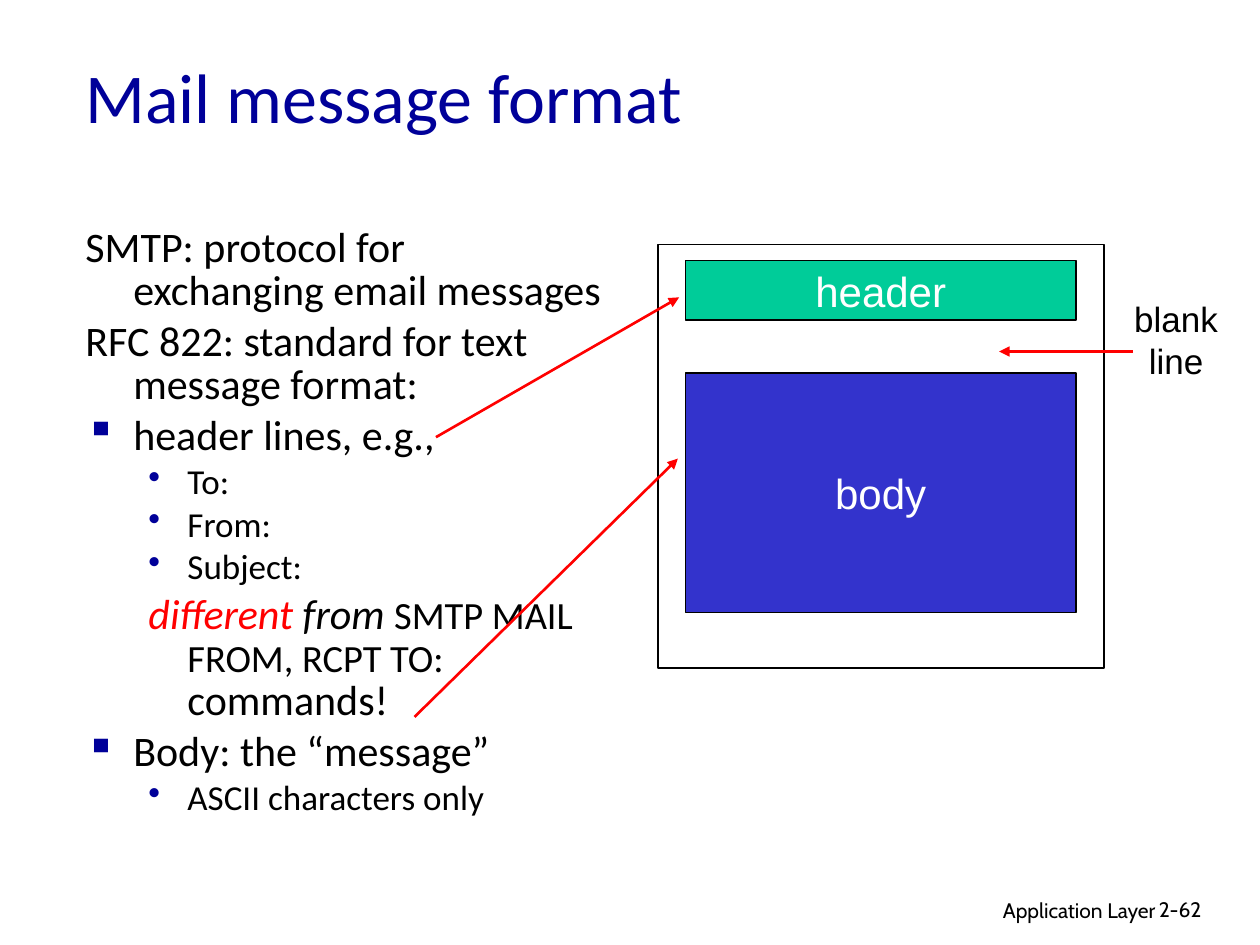
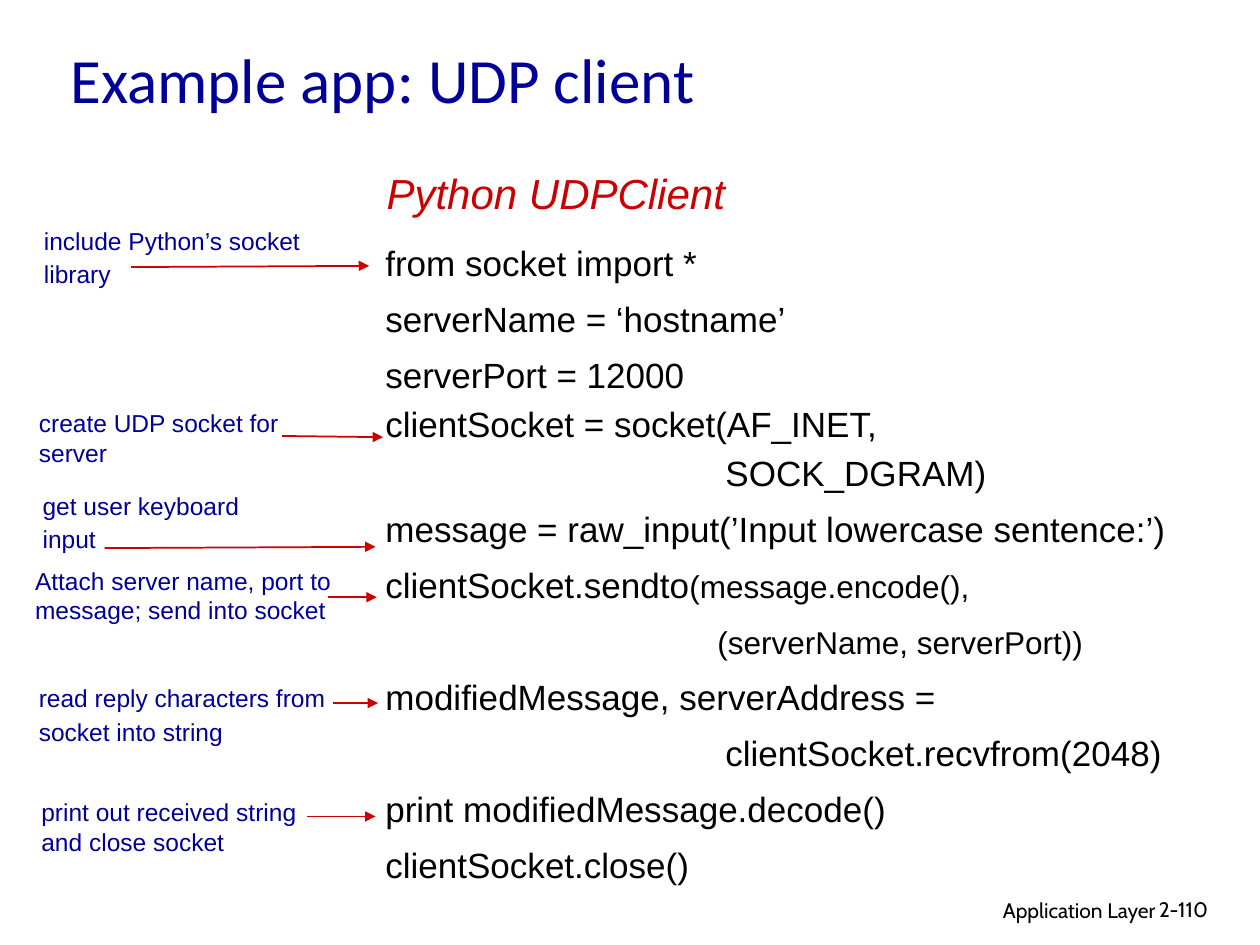
import lxml.etree
import pptx
import pptx.dml.color
import pptx.enum.shapes
import pptx.enum.text
import pptx.oxml.ns
import pptx.util

COLORS = {"navy": "000099", "black": "000000", "white": "FFFFFF", "red": "FF0000",
          "crimson": "CC0000", "green": "00CC99", "blue": "3333CC"}
COLUMNS, ROWS = 100, 75
WIDTH, HEIGHT = pptx.util.Inches(10), pptx.util.Inches(7.5)
SANS, TITLE_FONT, FOOTER_FONT = "Arial", "Calibri", "Cabin"
ALIGN = pptx.enum.text.PP_ALIGN
ANCHOR = pptx.enum.text.MSO_ANCHOR
qn = pptx.oxml.ns.qn


def rgb(name):
    """Return the named colour."""
    return pptx.dml.color.RGBColor.from_string(COLORS[name])


def cells(x, y):
    """Turn grid columns and rows into slide lengths."""
    return round(x * WIDTH / COLUMNS), round(y * HEIGHT / ROWS)


def inside(box, x, y, w, h):
    """Return a box offset from the top left corner of another."""
    return box[0] + x, box[1] + y, w, h


def add_bullet(p, mark, left, hang):
    """Indent a paragraph and give it a bullet if there is a mark."""
    pPr = p._p.get_or_add_pPr()
    pPr.set("marL", str(pptx.util.Inches(left)))
    pPr.set("indent", str(-pptx.util.Inches(hang)))
    if mark:
        clr = lxml.etree.SubElement(pPr, qn("a:buClr"))
        lxml.etree.SubElement(clr, qn("a:srgbClr"), val=COLORS["navy"])
        lxml.etree.SubElement(pPr, qn("a:buChar"), char=mark)
    else:
        lxml.etree.SubElement(pPr, qn("a:buNone"))


def write(tf, text, size=20, color="black", font=SANS, italic=False, align=ALIGN.LEFT,
          spacing=None, gap=0.2, level=0, mark=None, indent=None):
    """Add a paragraph, given as a string or as runs with their own formats."""
    first = not tf.text
    p = tf.paragraphs[0] if first else tf.add_paragraph()
    if indent:
        add_bullet(p, mark, *indent)
    p.level, p.alignment = level, align
    p.space_before = pptx.util.Pt(0 if first else round(size * gap, 1))
    if spacing:
        p.line_spacing = spacing
    for part, own in [(text, {})] if isinstance(text, str) else text:
        r = p.add_run()
        r.text = part
        r.font.name = font
        r.font.size = pptx.util.Pt(own.get("size", size))
        r.font.italic = own.get("italic", italic)
        r.font.color.rgb = rgb(own.get("color", color))


def add_text(s, box, paragraphs, wrap=True, anchor=ANCHOR.TOP, **fmt):
    """Add a text box whose paragraphs share a format."""
    x, y, w, h = box
    tf = s.shapes.add_textbox(*cells(x, y), *cells(w, h)).text_frame
    tf.word_wrap, tf.vertical_anchor = wrap, anchor
    if not wrap:
        tf.auto_size = pptx.enum.text.MSO_AUTO_SIZE.SHAPE_TO_FIT_TEXT
    for text in paragraphs:
        write(tf, text, **fmt)
    return tf


def add_rect(s, box, fill=None, weight=0.75, label=None):
    """Add an outlined rectangle with an optional fill and label."""
    x, y, w, h = box
    sp = s.shapes.add_shape(pptx.enum.shapes.MSO_SHAPE.RECTANGLE, *cells(x, y), *cells(w, h))
    sp.shadow.inherit = False
    sp.line.color.rgb, sp.line.width = rgb("black"), pptx.util.Pt(weight)
    if fill:
        sp.fill.solid()
        sp.fill.fore_color.rgb = rgb(fill)
    else:
        sp.fill.background()
    if label:
        sp.text_frame.vertical_anchor = ANCHOR.MIDDLE
        write(sp.text_frame, label, size=24, color="white", align=ALIGN.CENTER)


def add_arrow(s, start, end, color, weight):
    """Add a straight arrow between two grid points."""
    line = s.shapes.add_connector(pptx.enum.shapes.MSO_CONNECTOR.STRAIGHT,
                                  *cells(*start), *cells(*end))
    line.line.color.rgb, line.line.width = rgb(color), pptx.util.Pt(weight)
    lxml.etree.SubElement(line.line._get_or_add_ln(), qn("a:tailEnd"), type="triangle")
    lxml.etree.SubElement(line._element.spPr, qn("a:effectLst"))


def add_slide(prs, title, box, size, number):
    """Add a blank slide with its title and footer."""
    s = prs.slides.add_slide(prs.slide_layouts[6])
    footer = dict(size=12, font=FOOTER_FONT)
    add_text(s, (61, 70.7, 31.7, 3.1), ["Application Layer"], align=ALIGN.RIGHT, **footer)
    add_text(s, (91, 70.7, 7.4, 3), [number], **footer)
    add_text(s, box, [title], anchor=ANCHOR.MIDDLE, size=size, color="navy", font=TITLE_FONT)
    return s


def add_outline(s, box):
    """Add the bulleted notes on the message format."""
    plain = dict(size=24, indent=(0.38, 0.38))
    point = dict(plain, mark="▪")
    nested = dict(size=24, indent=(0.81, 0.31), level=1)
    item = dict(nested, size=20, mark="•")
    warning = [("different ", dict(color="red", italic=True)), ("from ", dict(italic=True)),
               ("SMTP MAIL FROM, RCPT TO:", dict(size=22)), (" commands!", {})]
    tf = add_text(s, box, [])
    for text, fmt in [
        ("SMTP: protocol for exchanging email messages", plain),
        ("RFC 822: standard for text message format:", plain),
        ("header lines, e.g.,", point),
        ("To:", item),
        ("From:", item),
        ("Subject:", item),
        (warning, nested),
        ("Body: the “message”", point),
        ("ASCII characters only", item),
    ]:
        write(tf, text, font=TITLE_FONT, spacing=0.85, **fmt)


def add_message_diagram(s, box):
    """Add the message frame, its parts and the arrows to them."""
    x, y, w, h = box
    add_rect(s, inside(box, 2.2, 1.3, 31, 4.7), "green", label="header")
    add_rect(s, inside(box, 2.2, 10.2, 31, 19), "blue", label="body")
    add_rect(s, box, weight=1)
    add_text(s, inside(box, w + 1.4, 3.7, 8.7, 7.7), ["blank", "line"], wrap=False,
             align=ALIGN.CENTER, gap=0)
    for (x1, y1), (x2, y2) in [((-17.6, 15.3), (1.7, 4.2)), ((-19.3, 37.5), (1.6, 17)),
                               ((w + 2.3, 8.5), (27.1, 8.5))]:
        add_arrow(s, (x + x1, y + y1), (x + x2, y + y2), "red", 1.5)


def add_code(s, box):
    """Add the code listing under its heading."""
    add_text(s, inside(box, 0.1, 0, 30, 5.1), ["Python UDPClient"], size=24,
             color="crimson", italic=True)
    small = dict(size=18)
    lines = [
        "from socket import *",
        "serverName = ‘hostname’",
        "serverPort = 12000",
        "clientSocket = socket(AF_INET,",
        " " * 35 + "SOCK_DGRAM)",
        "message = raw_input(’Input lowercase sentence:’)",
        [("clientSocket.sendto", {}), ("(message.encode(),", small)],
        [(" " * 38 + "(serverName, serverPort))", small)],
        "modifiedMessage, serverAddress =",
        " " * 35 + "clientSocket.recvfrom(2048)",
        "print modifiedMessage.decode()",
        "clientSocket.close()",
    ]
    tf = add_text(s, inside(box, 0, 5.3, 64.5, 54.3), [], wrap=False)
    for i, line in enumerate(lines):
        write(tf, line, spacing=pptx.util.Pt(24 if i in (3, 4) else 28))


def add_remarks(s, box):
    """Add the remarks beside the code, each with its arrow."""
    tight = dict(wrap=False, spacing=pptx.util.Pt(16))
    for place, text, fmt, start, end in [
        ((0.7, 0, 22.5, 6), ["include Python’s socket", "library"], tight,
         (8.6, 3.6), (27.5, 3.5)),
        ((0.3, 14.3, 24.8, 5.7), ["create UDP socket for server"], {},
         (20.6, 17), (28.6, 17.1)),
        ((0.6, 21, 17.7, 6), ["get user keyboard", "input"], tight,
         (6.5, 25.9), (28, 25.8)),
        ((0, 26.8, 25.7, 5.7), ["Attach server name, port to message; send into socket"], {},
         (24.2, 29.8), (28.1, 29.8)),
        ((0.3, 36.1, 25.7, 6.2), ["read reply characters from", "socket into string"], {},
         (24.6, 38.2), (28.2, 38.2)),
        ((0.5, 45.2, 25.7, 5.7), ["print out received string and close socket"], {},
         (22.6, 47.2), (28, 47.2)),
    ]:
        add_text(s, inside(box, *place), text, size=14, color="navy", **fmt)
        add_arrow(s, *(inside(box, *point, 0, 0)[:2] for point in (start, end)), "crimson", 1)


def add_format_slide(prs):
    """Add the slide on the mail message format."""
    s = add_slide(prs, "Mail message format", (5.8, 1.3, 85, 12.5), 40, "2-62")
    add_outline(s, (5.8, 17.6, 43, 50.8))
    add_message_diagram(s, (52.2, 19.4, 35.4, 33.6))


def add_client_slide(prs):
    """Add the slide with the UDP client code."""
    s = add_slide(prs, "Example app: UDP client", (4.6, 1, 85, 10.4), 36, "2-110")
    add_code(s, (29.6, 12.8, 64.5, 59.6))
    add_remarks(s, (1.8, 17.6, 28.6, 50.9))


def main():
    """Build and save the slides."""
    prs = pptx.Presentation()
    prs.slide_width, prs.slide_height = WIDTH, HEIGHT
    add_format_slide(prs)
    add_client_slide(prs)
    prs.save("out.pptx")


if __name__ == "__main__":
    main()
